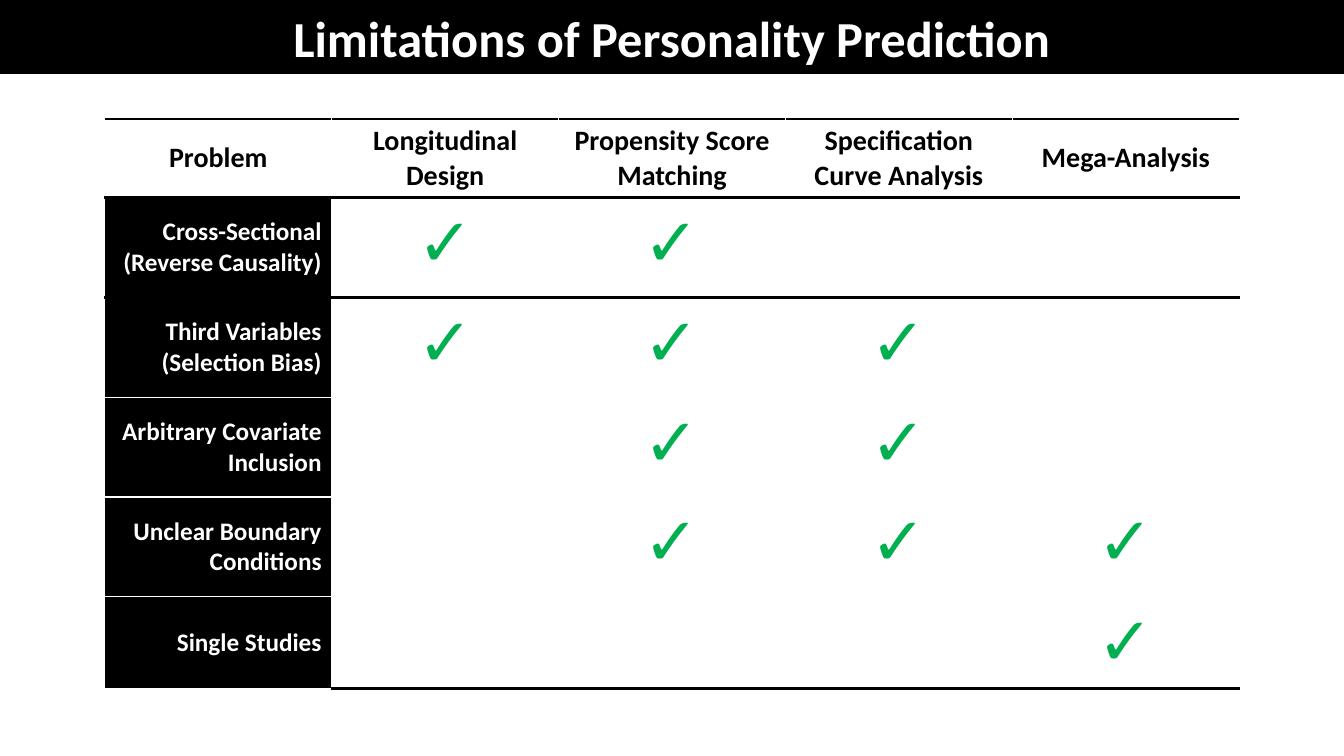
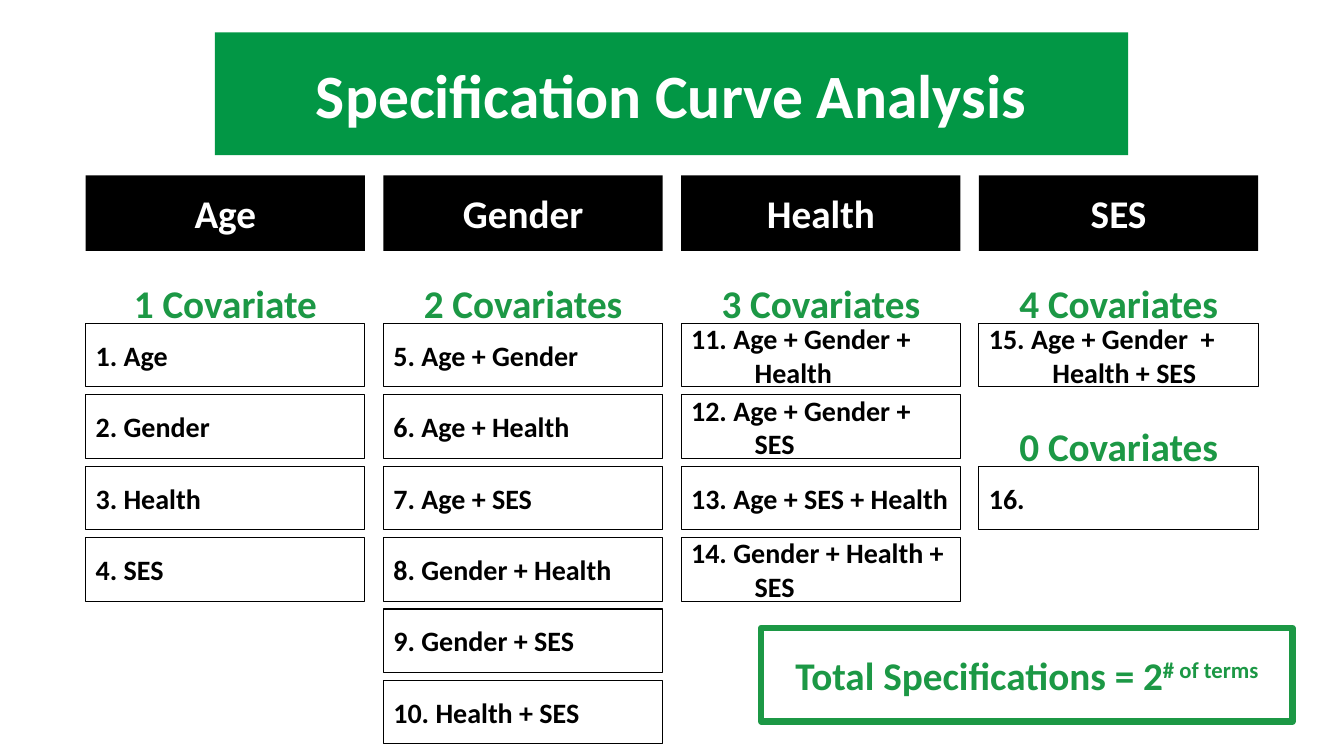
from typing import NamedTuple

from lxml import etree
from pptx import Presentation
from pptx.dml.color import RGBColor
from pptx.enum.shapes import MSO_SHAPE
from pptx.enum.text import MSO_ANCHOR, MSO_AUTO_SIZE, PP_ALIGN
from pptx.oxml.ns import qn
from pptx.util import Inches, Pt

RECT = MSO_SHAPE.RECTANGLE
MIDDLE = MSO_ANCHOR.MIDDLE
FIXED = MSO_AUTO_SIZE.NONE
LEFT, CENTER, RIGHT = PP_ALIGN.LEFT, PP_ALIGN.CENTER, PP_ALIGN.RIGHT

BLACK = RGBColor(0x00, 0x00, 0x00)
WHITE = RGBColor(0xFF, 0xFF, 0xFF)
BANNER = RGBColor(0x02, 0x97, 0x45)
GREEN = RGBColor(0x1C, 0x98, 0x45)
TICK = RGBColor(0x00, 0xB0, 0x50)
FONT = "Calibri"
WIDE, HIGH = 13.33, 7.5


class Box(NamedTuple):
    x: float
    y: float
    w: float
    h: float

    def emu(self) -> list:
        return [Inches(v) for v in self]


class Style(NamedTuple):
    size: float
    color: RGBColor
    align: PP_ALIGN = CENTER
    fill: RGBColor | None = None
    line: RGBColor | None = None
    width: float = 0.75
    hang: float = 0


class Group(NamedTuple):
    col: int
    row: int
    label: str
    items: list


# Slide 1: problems and the designs (by column) that address them
HEADS = ["Problem", "Longitudinal Design", "Propensity Score Matching",
         "Specification Curve Analysis", "Mega-Analysis"]
ROWS = [
    ("Cross-Sectional (Reverse Causality)", {1, 2}),
    ("Third Variables (Selection Bias)", {1, 2, 3}),
    ("Arbitrary Covariate Inclusion", {2, 3}),
    ("Unclear Boundary Conditions", {2, 3, 4}),
    ("Single Studies", {4}),
]
TALL, SHORT = 0.99, 0.57
GRID = Box(1.04, 1.18, 11.25, 5.1)

# Slide 2: column grid and covariate sets
EDGE, TOP = 0.85, 3.21
STEP, PITCH = (9.71 - EDGE) / 3, (6.75 - TOP) / 5
CARD, ITEM, HEAD = 2.77, 0.63, 0.75
TERMS = ["Age", "Gender", "Health", "SES"]
GROUPS = [
    Group(0, 0, "1 Covariate", ["1. Age", "2. Gender", "3. Health", "4. SES"]),
    Group(1, 0, "2 Covariates",
          ["5. Age + Gender", "6. Age + Health", "7. Age + SES",
           "8. Gender + Health", "9. Gender + SES", "10. Health + SES"]),
    Group(2, 0, "3 Covariates",
          ["11. Age + Gender + Health", "12. Age + Gender + SES",
           "13. Age + SES + Health", "14. Gender + Health + SES"]),
    Group(3, 0, "4 Covariates", ["15. Age + Gender  + Health + SES"]),
    Group(3, 2, "0 Covariates", ["16."]),
]

# Text styles
BAR = Style(36, WHITE, fill=BLACK, line=BLACK, width=1)
SIGN = Style(44, WHITE, fill=BANNER)
TERM = Style(28, WHITE, fill=BLACK)
LABEL = Style(28, GREEN)
ENTRY = Style(20, BLACK, LEFT, line=BLACK, hang=0.63)
TOTAL = Style(28, GREEN, line=GREEN, width=4.5)
COLUMN = Style(20, BLACK)
ISSUE = Style(18, WHITE, RIGHT, fill=BLACK)
MARK = Style(48, TICK)


def write(frame, text: str, style: Style):
    """Fill the first paragraph and format it."""
    para = frame.paragraphs[0]
    para.text = text
    para.alignment = style.align
    if style.hang:
        props = para._p.get_or_add_pPr()
        props.set("marL", str(Inches(style.hang)))
        props.set("indent", str(-Inches(style.hang)))
    font = para.font
    font.name, font.size, font.bold = FONT, Pt(style.size), True
    font.color.rgb = style.color
    return para


def dress(shape, text: str, style: Style):
    """Give a shape its fill, line and centred text."""
    if style.fill is None:
        shape.fill.background()
    else:
        shape.fill.solid()
        shape.fill.fore_color.rgb = style.fill
    if style.line is None:
        shape.line.fill.background()
    else:
        shape.line.color.rgb = style.line
        shape.line.width = Pt(style.width)
    frame = shape.text_frame
    frame.word_wrap, frame.auto_size = True, FIXED
    frame.vertical_anchor = MIDDLE
    return write(frame, text, style)


def block(slide, box: Box, text: str, style: Style):
    shape = slide.shapes.add_shape(RECT, *box.emu())
    shape.shadow.inherit = False
    return dress(shape, text, style)


def note(slide, box: Box, text: str, style: Style) -> None:
    dress(slide.shapes.add_textbox(*box.emu()), text, style)


def begin(deck, title: str, box: Box, style: Style):
    """Add a slide with its title band."""
    slide = deck.slides.add_slide(deck.slide_layouts[5])
    head = slide.shapes.title
    head.left, head.top, head.width, head.height = box.emu()
    dress(head, title, style)
    return slide


def stroke(parent, tag: str, color: RGBColor, width: float):
    line = etree.SubElement(parent, qn(tag), w=str(Pt(width)))
    fill = etree.SubElement(line, qn("a:solidFill"))
    etree.SubElement(fill, qn("a:srgbClr"), val=str(color))
    return line


def border(cell, row: int, col: int) -> None:
    """Black rules around the first rows and at the foot, white elsewhere."""
    foot = row == len(ROWS) and col > 0
    rules = {"L": False, "R": False, "T": row < 3, "B": row < 2 or foot}
    props = cell._tc.get_or_add_tcPr()
    for side, dark in rules.items():
        stroke(props, f"a:ln{side}", BLACK if dark else WHITE,
               2.25 if dark else 1)


def paint(cell, row: int, col: int) -> None:
    border(cell, row, col)
    cell.fill.background()
    if row == 0:
        cell.vertical_anchor = MIDDLE
        write(cell.text_frame, HEADS[col], COLUMN)
        return
    issue, marks = ROWS[row - 1]
    if col == 0:
        cell.fill.solid()
        cell.fill.fore_color.rgb = ISSUE.fill
        cell.vertical_anchor = MIDDLE
        write(cell.text_frame, issue, ISSUE)
    elif col in marks:
        para = write(cell.text_frame, "✓", MARK)
        props = para.runs[0]._r.get_or_add_rPr()
        props.insert(0, stroke(props, "a:ln", GREEN, 2.25))


def limits(deck) -> None:
    slide = begin(deck, "Limitations of Personality Prediction",
                  Box(0, 0.01, WIDE, 0.72), BAR)
    count = len(ROWS) + 1
    table = slide.shapes.add_table(count, len(HEADS), *GRID.emu()).table
    table.first_row = table.horz_banding = False
    for col in table.columns:
        col.width = Inches(GRID.w / len(HEADS))
    for row in range(count):
        ends = row in (0, count - 1)
        table.rows[row].height = Inches(SHORT if ends else TALL)
        for col in range(len(HEADS)):
            paint(table.cell(row, col), row, col)


def curve(deck) -> None:
    slide = begin(deck, "Specification Curve Analysis",
                  Box(2.13, 0.32, 9.06, 1.22), SIGN)
    # Covariate headings
    for col, term in enumerate(TERMS):
        block(slide, Box(EDGE + col * STEP, 1.74, CARD, HEAD), term, TERM)
    # Numbered specifications
    for group in GROUPS:
        x, y = EDGE + group.col * STEP, TOP + group.row * PITCH
        for i, item in enumerate(group.items):
            block(slide, Box(x, y + i * PITCH, CARD, ITEM), item, ENTRY)
        note(slide, Box(x, y - 0.58, CARD, HEAD), group.label, LABEL)
    # Total
    para = block(slide, Box(7.55, 6.23, 5.27, 0.93),
                 "Total Specifications = 2", TOTAL)
    power = para.add_run()
    power.text = "# of terms"
    power._r.get_or_add_rPr().set("baseline", "30000")


def main() -> None:
    deck = Presentation()
    deck.slide_width, deck.slide_height = Inches(WIDE), Inches(HIGH)
    limits(deck)
    curve(deck)
    deck.save("out.pptx")


if __name__ == "__main__":
    main()
